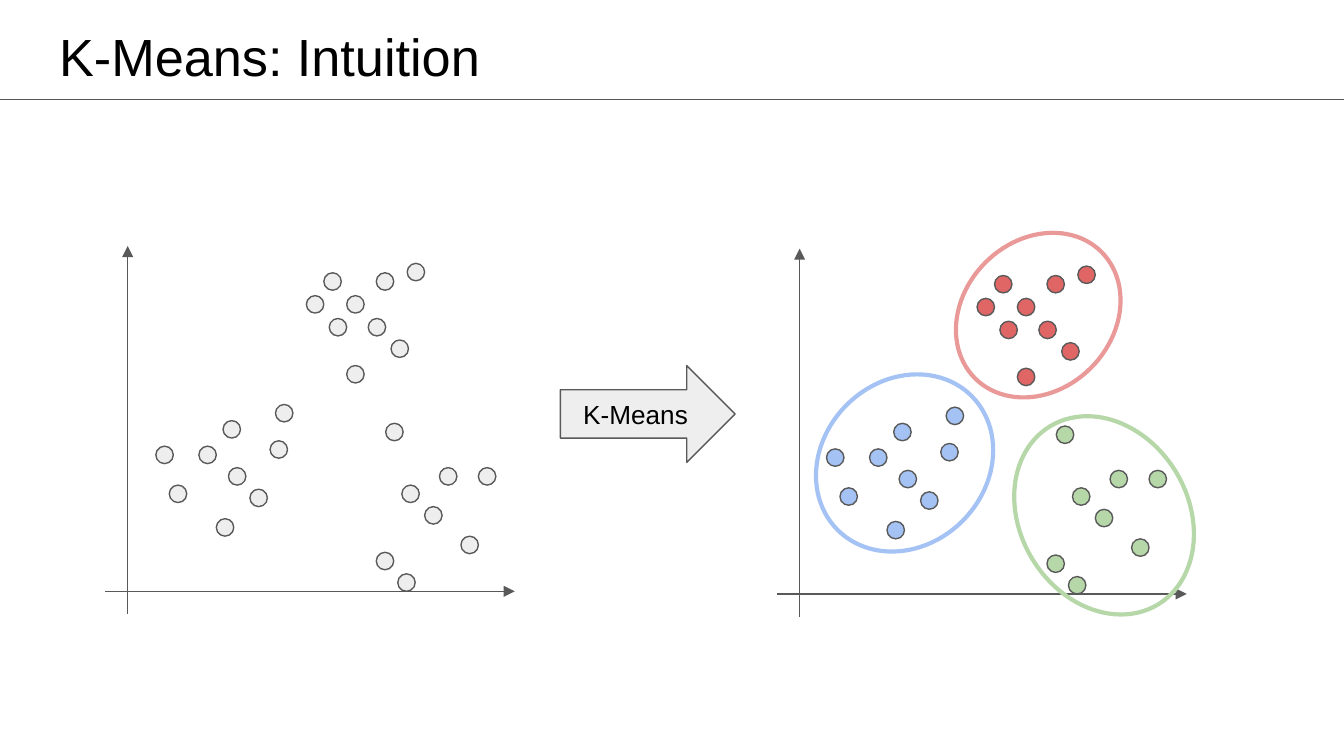
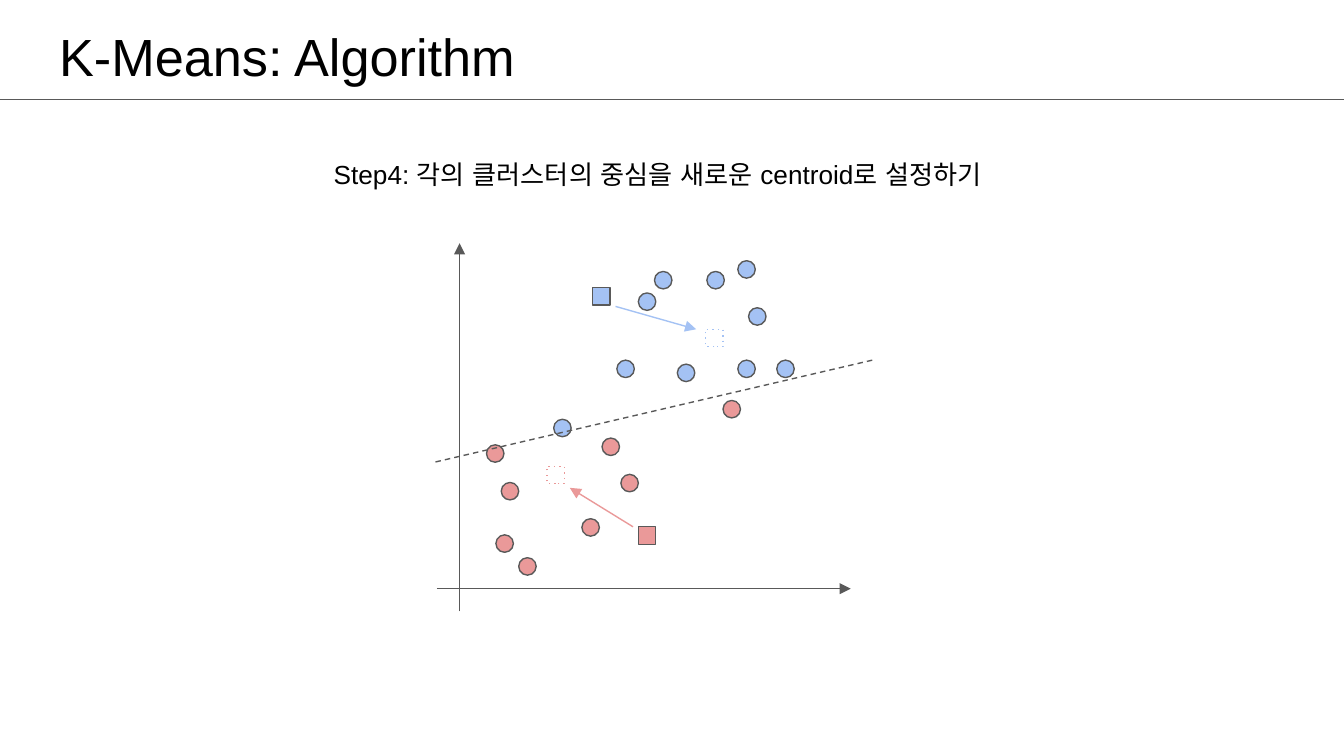
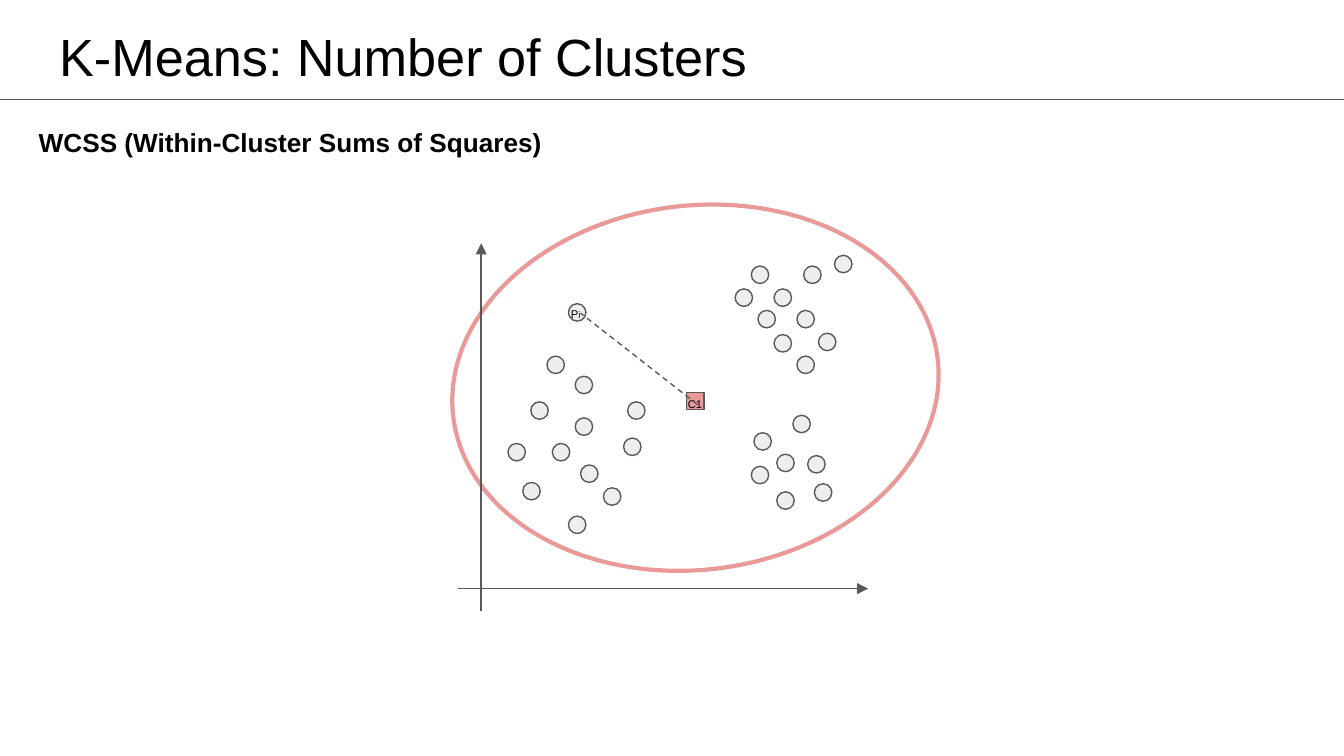
from lxml import etree
from pptx import Presentation
from pptx.dml.color import RGBColor
from pptx.enum.shapes import MSO_CONNECTOR, MSO_SHAPE
from pptx.enum.text import MSO_ANCHOR, PP_ALIGN
from pptx.oxml.ns import qn
from pptx.util import Inches, Pt

OVAL, RECT, ARROW = MSO_SHAPE.OVAL, MSO_SHAPE.RECTANGLE, MSO_SHAPE.RIGHT_ARROW
STRAIGHT = MSO_CONNECTOR.STRAIGHT
LEFT, CENTER = PP_ALIGN.LEFT, PP_ALIGN.CENTER
TOP, MIDDLE = MSO_ANCHOR.TOP, MSO_ANCHOR.MIDDLE

FONT = "Arial"
MARK = 0.13
COLORS = {
    "text": "000000",
    "line": "595959",
    "gray": "EEEEEE",
    "red": "E06666",
    "pink": "EA9999",
    "blue": "A4C2F4",
    "green": "B6D7A8",
}

CLUSTERS = {
    "red": [(2.41, 2.03), (2.58, 2.2), (2.74, 2.37), (2.8, 2.03), (2.28, 2.2),
            (2.58, 2.72), (3.03, 1.96), (2.91, 2.53), (2.45, 2.37)],
    "blue": [(1.16, 3.32), (1.48, 3.32), (1.7, 3.48), (1.26, 3.61), (1.61, 3.86),
             (1.66, 3.13), (2.05, 3.01), (1.86, 3.64), (2.01, 3.28)],
    "green": [(2.99, 3.61), (3.43, 3.99), (3.56, 3.48), (2.8, 4.11), (3.27, 3.48),
              (2.96, 4.27), (3.16, 3.77), (2.87, 3.15)],
}
ASSIGNED = {
    "blue": [(4.87, 2.02), (5.26, 2.02), (4.12, 3.12), (5.78, 2.68), (5.49, 2.68),
             (4.75, 2.18), (5.04, 2.71), (5.49, 1.94), (4.59, 2.68), (5.57, 2.29)],
    "pink": [(3.62, 3.31), (3.73, 3.59), (4.33, 3.86), (3.69, 3.98), (3.86, 4.15),
             (5.38, 2.98), (4.62, 3.53), (4.48, 3.26)],
}
SINGLE_CLUSTER = [
    (5.59, 1.98), (5.76, 2.15), (5.93, 2.31), (5.98, 1.98), (5.47, 2.15),
    (5.76, 2.49), (6.21, 1.9), (5.93, 2.65), (6.09, 2.48), (5.64, 2.31),
    (3.78, 3.3), (4.11, 3.3), (4.32, 3.46), (3.89, 3.59), (4.23, 3.84),
    (4.28, 3.11), (4.67, 2.99), (4.49, 3.63), (4.64, 3.26), (3.95, 2.99),
    (4.28, 2.8), (4.07, 2.65), (4.23, 2.26),
    (5.61, 3.22), (6.06, 3.6), (6.01, 3.39), (5.59, 3.47), (5.9, 3.09),
    (5.78, 3.66), (5.78, 3.38),
]


def rgb(name):
    return RGBColor.from_string(COLORS[name])


def style_line(line, color, width=0.75, dash=None):
    line.color.rgb = rgb(color)
    line.width = Pt(width)
    if dash:
        etree.SubElement(line._get_or_add_ln(), qn("a:prstDash"), val=dash)


def write(sp, runs, align=LEFT, anchor=TOP, bold=False, spacing=1, top=0.1, bottom=0.1):
    tf = sp.text_frame
    tf.word_wrap = True
    tf.vertical_anchor = anchor
    tf.margin_left = tf.margin_right = Inches(0.1)
    tf.margin_top, tf.margin_bottom = Inches(top), Inches(bottom)
    p = tf.paragraphs[0]
    p.alignment = align
    p.line_spacing = spacing
    for text, size in runs:
        r = p.add_run()
        r.text = text
        r.font.name = FONT
        r.font.size = Pt(size)
        r.font.bold = bold
        r.font.color.rgb = rgb("text")
        etree.SubElement(r._r.get_or_add_rPr(), qn("a:ea"), typeface=FONT)


def add_text(slide, box, runs, **kw):
    sp = slide.shapes.add_textbox(*map(Inches, box))
    write(sp, runs, **kw)


def add_shape(slide, kind, box, fill=None, line="line", width=0.75, dash=None, rotation=0):
    sp = slide.shapes.add_shape(kind, *map(Inches, box))
    sp.shadow.inherit = False
    sp.rotation = rotation
    if fill:
        sp.fill.solid()
        sp.fill.fore_color.rgb = rgb(fill)
    else:
        sp.fill.background()
    style_line(sp.line, line, width, dash)
    return sp


def add_line(slide, start, end, color="line", dash=None, arrow=False):
    cn = slide.shapes.add_connector(STRAIGHT, *map(Inches, start + end))
    style_line(cn.line, color, dash=dash)
    if arrow:
        etree.SubElement(cn.line._get_or_add_ln(), qn("a:tailEnd"), type="triangle")
    etree.SubElement(cn._element.spPr, qn("a:effectLst"))


def add_axes(slide, x, y, length=3.05):
    add_line(slide, (x - 0.17, y), (x - 0.17 + length, y), arrow=True)
    add_line(slide, (x, y + 0.17), (x, y - 2.57), arrow=True)


def add_mark(slide, x, y, kind=OVAL, **kw):
    add_shape(slide, kind, (x, y, MARK, MARK), **kw)


def add_dots(slide, points, fill, dx=0, dy=0):
    for x, y in points:
        add_mark(slide, x + dx, y + dy, fill=fill)


def add_ring(slide, box, color, rotation):
    add_shape(slide, OVAL, box, line=color, width=2.25, rotation=rotation)


def add_mark_label(slide, x, y, runs):
    add_text(slide, (x, y, 0.32, 0.27), runs, top=0.15, bottom=0.02)


def add_slide(prs, title):
    slide = prs.slides.add_slide(prs.slide_layouts[5])
    sp = slide.shapes.title
    sp.left, sp.top, sp.width, sp.height = map(Inches, (0.34, 0.08, 9.32, 0.63))
    write(sp, [(title, 28)])
    add_line(slide, (0, 0.74), (10.01, 0.74))
    return slide


def intuition_slide(prs):
    slide = add_slide(prs, "K-Means: Intuition")
    add_axes(slide, 0.95, 4.4)
    add_axes(slide, 5.95, 4.42)
    for color, points in CLUSTERS.items():
        add_dots(slide, points, "gray")
        add_dots(slide, points, color, dx=4.99, dy=0.02)
    sp = add_shape(slide, ARROW, (4.17, 2.72, 1.3, 0.72), fill="gray")
    write(sp, [("K-Means", 14)], align=CENTER, anchor=MIDDLE)
    add_ring(slide, (7.17, 1.68, 1.11, 1.33), "pink", 45)
    add_ring(slide, (7.59, 3.06, 1.25, 1.55), "green", 328.8)
    add_ring(slide, (6.12, 2.74, 1.22, 1.41), "blue", 45)


def algorithm_slide(prs):
    slide = add_slide(prs, "K-Means: Algorithm")
    add_axes(slide, 3.42, 4.38, length=3.08)
    for color, points in ASSIGNED.items():
        add_dots(slide, points, color)
    add_line(slide, (6.49, 2.68), (3.23, 3.44), dash="dash")
    add_text(slide, (0.81, 0.96, 8.17, 0.48),
             [("Step4: 각의 클러스터의 중심을 새로운 centroid로 설정하기", 14)],
             align=CENTER, spacing=1.5)
    moves = [
        ("pink", (4.75, 3.92), (4.07, 3.47), (4.71, 3.92), (4.24, 3.63)),
        ("blue", (4.41, 2.14), (5.25, 2.45), (4.58, 2.28), (5.18, 2.45)),
    ]
    for color, old, new, start, end in moves:
        add_mark(slide, *old, kind=RECT, fill=color)
        add_mark(slide, *new, kind=RECT, line=color, dash="dot")
        add_line(slide, start, end, color=color, arrow=True)


def cluster_count_slide(prs):
    slide = add_slide(prs, "K-Means: Number of Clusters")
    add_ring(slide, (3.36, 1.53, 3.63, 2.71), "pink", 353.1)
    add_text(slide, (0.19, 0.84, 4.27, 0.35),
             [("WCSS (Within-Cluster Sums of Squares)", 14)], bold=True)
    add_axes(slide, 3.58, 4.38)
    add_dots(slide, SINGLE_CLUSTER, "gray")
    add_mark(slide, 5.11, 2.92, kind=RECT, fill="pink")
    add_mark_label(slide, 5.02, 2.84, [("C1", 6)])
    add_mark_label(slide, 4.15, 2.17, [("P", 6), ("i", 5)])
    add_line(slide, (5.19, 3.01), (4.32, 2.33), dash="dash")


def main():
    prs = Presentation()
    prs.slide_width, prs.slide_height = Inches(10), Inches(5.625)
    intuition_slide(prs)
    algorithm_slide(prs)
    cluster_count_slide(prs)
    prs.save("out.pptx")


main()
